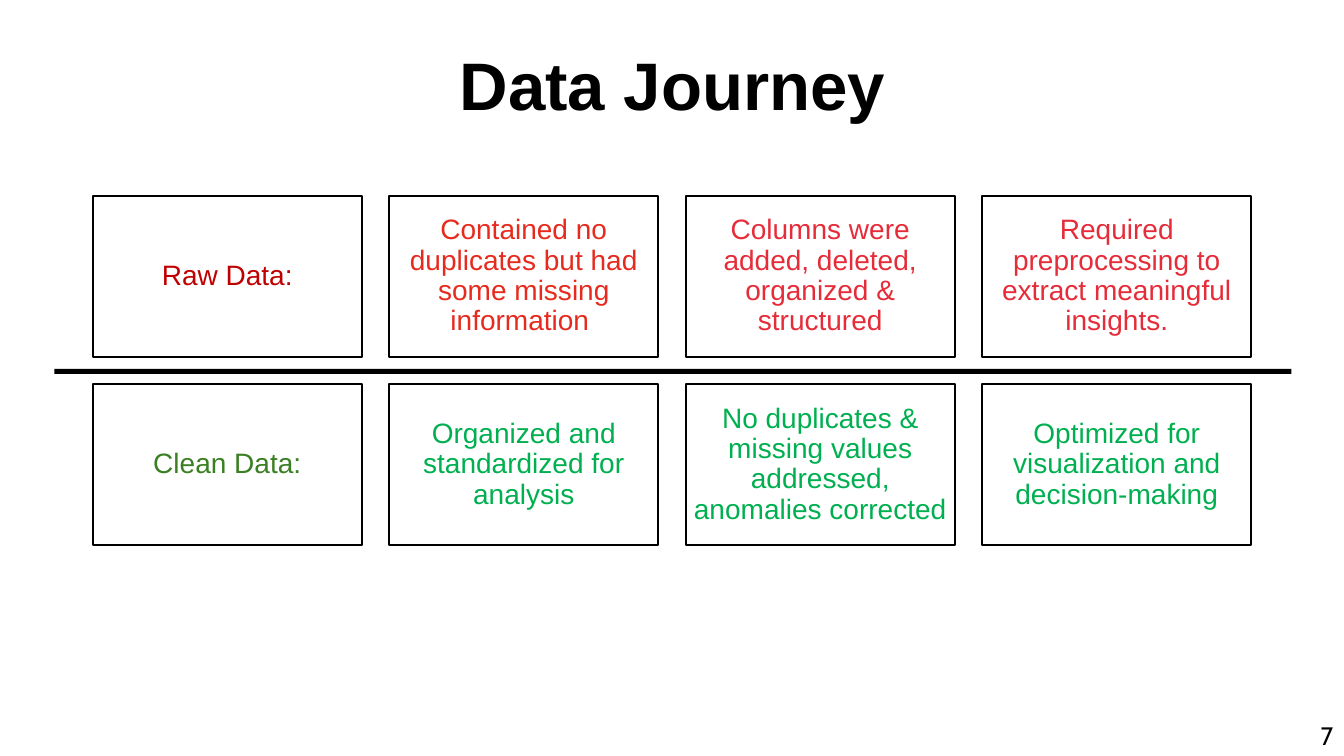
from pptx import Presentation
from pptx.dml.color import RGBColor
from pptx.enum.shapes import MSO_SHAPE
from pptx.enum.text import MSO_ANCHOR, PP_ALIGN
from pptx.util import Inches, Pt


def color(hex_code):
    return RGBColor.from_string(hex_code)


def write(frame, text, size=20, font="Arial", ink="000000", bold=False,
          align=PP_ALIGN.CENTER, anchor=MSO_ANCHOR.TOP, spacing=None, inset=None):
    """Fill a text frame with one formatted paragraph."""
    frame.word_wrap = True
    frame.vertical_anchor = anchor
    if inset is not None:
        frame.margin_left = frame.margin_right = Inches(inset)
        frame.margin_top = frame.margin_bottom = Inches(inset)
    paragraph = frame.paragraphs[0]
    paragraph.alignment = align
    paragraph.line_spacing = spacing
    run = paragraph.add_run()
    run.text = text
    run.font.size = Pt(size)
    run.font.name = font
    run.font.bold = bold
    run.font.color.rgb = color(ink)


class JourneySlide:
    """Style and current slide; lengths are percentages of the slide size."""
    LINE, PAPER = "000000", "FFFFFF"
    GRID_LEFT, COLUMN_STEP, CARD_WIDTH = 6.9, 22.06, 20.03
    GRID_TOP, ROW_STEP, CARD_HEIGHT = 25.87, 24.93, 21.33

    def __init__(self, deck):
        self.deck = deck
        self.slide = deck.slides.add_slide(deck.slide_layouts[5])

    def area(self, left, top, width, height):
        across, down = self.deck.slide_width / 100, self.deck.slide_height / 100
        return (round(left * across), round(top * down),
                round(width * across), round(height * down))

    def title(self, text, *share):
        heading = self.slide.shapes.title
        heading.left, heading.top, heading.width, heading.height = self.area(*share)
        write(heading.text_frame, text, size=48, bold=True, spacing=Pt(56), inset=0)

    def rectangle(self, fill, *share):
        block = self.slide.shapes.add_shape(MSO_SHAPE.RECTANGLE, *self.area(*share))
        block.shadow.inherit = False
        block.fill.solid()
        block.fill.fore_color.rgb = color(fill)
        block.line.fill.background()
        return block

    def card(self, column, row, text, ink):
        card = self.rectangle(
            self.PAPER,
            self.GRID_LEFT + column * self.COLUMN_STEP,
            self.GRID_TOP + row * self.ROW_STEP,
            self.CARD_WIDTH, self.CARD_HEIGHT)
        card.line.color.rgb = color(self.LINE)
        card.line.width = Pt(1.5)
        write(card.text_frame, text, ink=ink, anchor=MSO_ANCHOR.MIDDLE,
              spacing=0.9, inset=0.08)

    def page_number(self, text, *share):
        corner = self.slide.shapes.add_textbox(*self.area(*share))
        write(corner.text_frame, text, size=18, font="Cabin", align=PP_ALIGN.LEFT)


STAGES = [
    [("Raw Data:", "C00000"),
     ("Contained no duplicates but had some missing information ", "E62B1E"),
     ("Columns were added, deleted, organized & structured", "E62C39"),
     ("Required preprocessing to extract meaningful insights.", "E62C39")],
    [("Clean Data:", "3B7F23"),
     ("Organized and standardized for analysis", "00B050"),
     ("No duplicates & missing values addressed, anomalies corrected", "00B050"),
     ("Optimized for visualization and decision-making", "00B050")],
]


def main():
    deck = Presentation()
    deck.slide_width, deck.slide_height = Inches(13.33), Inches(7.5)
    journey = JourneySlide(deck)

    # Heading
    journey.title("Data Journey", 7.58, 6, 84.92, 10.53)

    # Raw and clean data, one row each
    for row, stage in enumerate(STAGES):
        for column, (text, ink) in enumerate(stage):
            journey.card(column, row, text, ink)

    # Divider between the rows
    journey.rectangle(journey.LINE, 4.05, 48.8, 92.05, 0.67)

    # Page number
    journey.page_number("7", 97.52, 94.67, 2.55, 5.33)

    deck.save("out.pptx")


if __name__ == "__main__":
    main()
